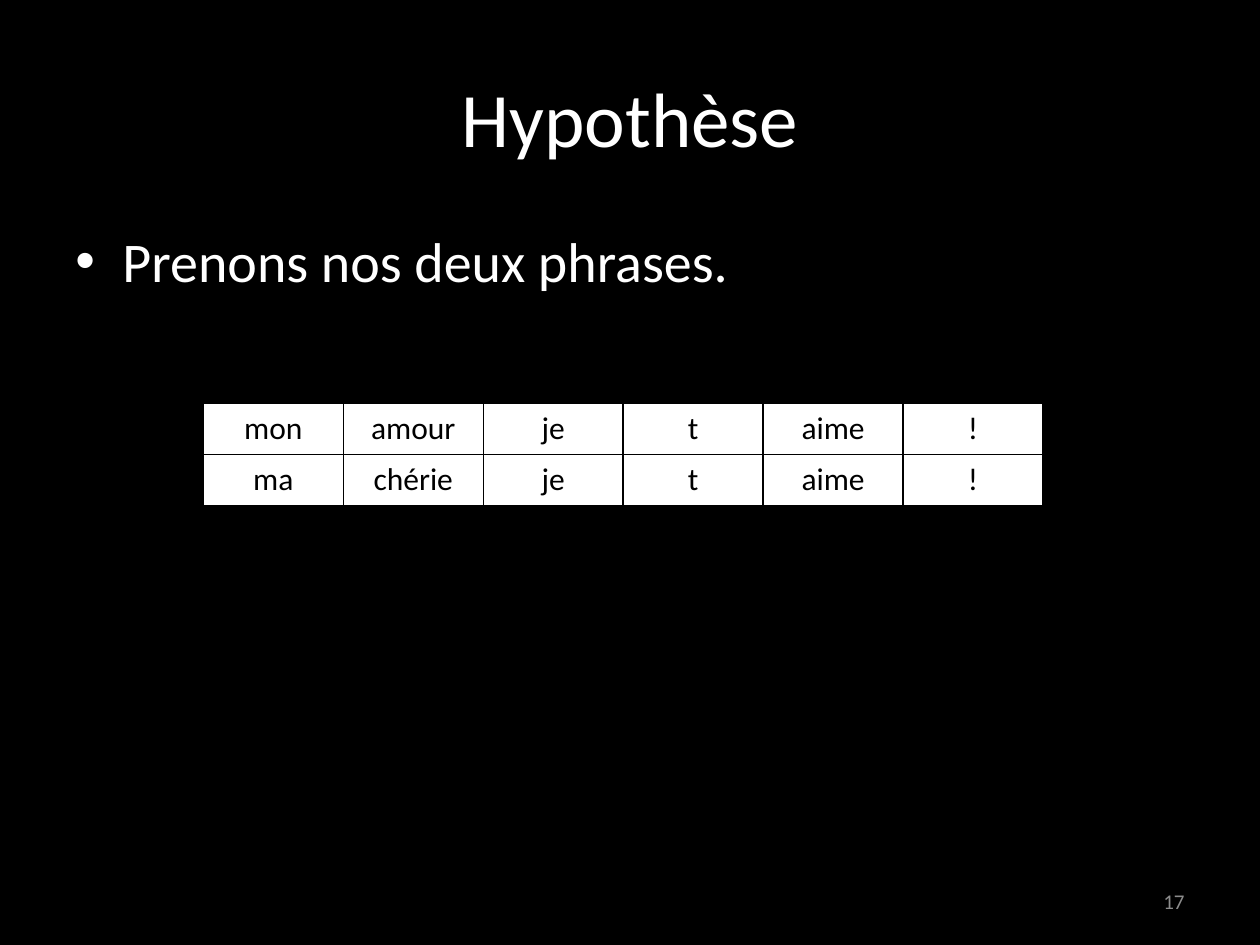
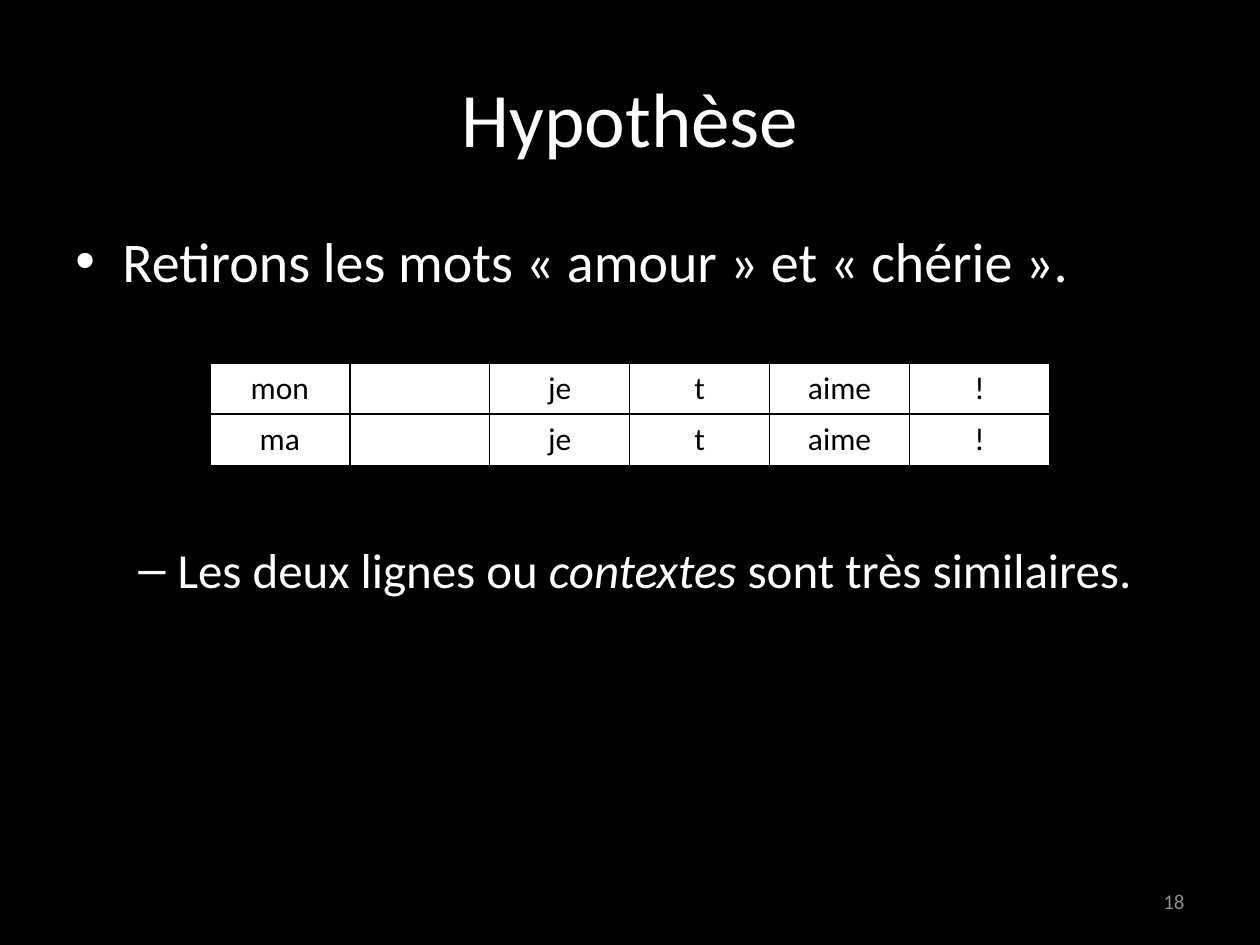
from dataclasses import dataclass

from lxml import etree
from pptx import Presentation
from pptx import util as u
from pptx.dml.color import RGBColor
from pptx.enum import text
from pptx.oxml import ns


@dataclass(frozen=True)
class Theme:
    """Colours, font and type sizes shared by the slides."""
    font: str = "Calibri"
    background: str = "000000"
    light: str = "FFFFFF"
    dark: str = "000000"
    muted: str = "8C8C8C"
    title_size: int = 44
    body_sizes: tuple = (32, 28)
    table_size: int = 18
    number_size: int = 12


@dataclass(frozen=True)
class Box:
    """A region of the slide in centimetres."""
    left: float
    top: float
    width: float
    height: float

    def lengths(self):
        """Return left, top, width and height as lengths."""
        return [u.Cm(value) for value in (self.left, self.top, self.width, self.height)]


THEME = Theme()
TITLE_BOX = Box(1.27, 0.76, 22.86, 3.18)
BODY_BOX = Box(1.27, 4.45, 22.86, 12.57)
NUMBER_BOX = Box(18.2, 17.65, 5.93, 1.02)
BULLETS = (("•", 0.95, 0.95), ("–", 2.06, 0.79))


def add_run(paragraph, words, size, color, italic=False):
    """Add one formatted run to a paragraph."""
    run = paragraph.add_run()
    run.text = words
    run.font.name = THEME.font
    run.font.size = u.Pt(size)
    run.font.color.rgb = RGBColor.from_string(color)
    run.font.italic = italic


def add_title(slide, box, words):
    """Move the title placeholder to its box and fill it."""
    title = slide.shapes.title
    title.left, title.top, title.width, title.height = box.lengths()
    title.text_frame.vertical_anchor = text.MSO_ANCHOR.MIDDLE
    paragraph = title.text_frame.paragraphs[0]
    paragraph.alignment = text.PP_ALIGN.CENTER
    add_run(paragraph, words, THEME.title_size, THEME.light)


def add_text_box(slide, box):
    """Add a wrapping text box and return its text frame."""
    frame = slide.shapes.add_textbox(*box.lengths()).text_frame
    frame.word_wrap = True
    return frame


def set_bullet(paragraph, level):
    """Give a paragraph the bullet and hanging indent of its level."""
    character, margin, hanging = BULLETS[level]
    paragraph.level = level
    properties = paragraph._p.get_or_add_pPr()
    properties.set("marL", str(u.Cm(margin)))
    properties.set("indent", str(-u.Cm(hanging)))
    etree.SubElement(properties, ns.qn("a:buFont"), typeface="Arial")
    etree.SubElement(properties, ns.qn("a:buChar"), char=character)


def add_body(slide, box, items):
    """Add bulleted items, each a level, a space before and its runs."""
    frame = add_text_box(slide, box)
    for index, (level, space_before, runs) in enumerate(items):
        paragraph = frame.add_paragraph() if index else frame.paragraphs[0]
        paragraph.space_before = u.Pt(space_before)
        set_bullet(paragraph, level)
        for words, italic in runs:
            add_run(paragraph, words, THEME.body_sizes[level], THEME.light, italic)


def format_cell(cell, words):
    """Fill, border and write one table cell."""
    properties = cell._tc.get_or_add_tcPr()
    for side in ("lnL", "lnR", "lnT", "lnB"):
        line = etree.SubElement(properties, ns.qn(f"a:{side}"), w=str(u.Pt(1)))
        fill = etree.SubElement(line, ns.qn("a:solidFill"))
        etree.SubElement(fill, ns.qn("a:srgbClr"), val=THEME.dark)
    cell.fill.solid()
    cell.fill.fore_color.rgb = RGBColor.from_string(THEME.light)
    cell.vertical_anchor = text.MSO_ANCHOR.MIDDLE
    paragraph = cell.text_frame.paragraphs[0]
    paragraph.alignment = text.PP_ALIGN.CENTER
    if words:
        add_run(paragraph, words, THEME.table_size, THEME.dark)


def add_word_table(slide, box, sentences):
    """Add a table with one sentence a row and one word a cell."""
    rows, columns = len(sentences), len(sentences[0])
    table = slide.shapes.add_table(rows, columns, *box.lengths()).table
    table.first_row = table.horz_banding = False
    for row, sentence in enumerate(sentences):
        for column, word in enumerate(sentence):
            format_cell(table.cell(row, column), word)


def add_number(slide, box, number):
    """Add the slide number at the lower right."""
    frame = add_text_box(slide, box)
    frame.vertical_anchor = text.MSO_ANCHOR.MIDDLE
    paragraph = frame.paragraphs[0]
    paragraph.alignment = text.PP_ALIGN.RIGHT
    add_run(paragraph, str(number), THEME.number_size, THEME.muted)


def add_hypothesis_slide(presentation, number, items, table_box, nouns):
    """Add a slide comparing the two sentences with the given nouns."""
    slide = presentation.slides.add_slide(presentation.slide_layouts.get_by_name("Title Only"))
    sentences = [(determiner, noun, "je", "t", "aime", "!")
                 for determiner, noun in zip(("mon", "ma"), nouns)]
    add_title(slide, TITLE_BOX, "Hypothèse")
    add_body(slide, BODY_BOX, items)
    add_number(slide, NUMBER_BOX, number)
    add_word_table(slide, table_box, sentences)


def main():
    """Build and save the presentation."""
    presentation = Presentation()
    presentation.slide_width, presentation.slide_height = u.Cm(25.4), u.Cm(19.05)
    background = presentation.slide_master.background.fill
    background.solid()
    background.fore_color.rgb = RGBColor.from_string(THEME.background)
    add_hypothesis_slide(
        presentation, 17,
        [(0, 0, [("Prenons nos deux phrases.", False)])],
        Box(4.1, 8.13, 16.93, 2.06), ("amour", "chérie"))
    add_hypothesis_slide(
        presentation, 18,
        [(0, 0, [("Retirons les mots « amour » et « chérie ».", False)]),
         (1, 140, [("Les deux lignes ou ", False), ("contextes", True),
                   (" sont très similaires.", False)])],
        Box(4.23, 7.32, 16.93, 2.06), ("", ""))
    presentation.save("out.pptx")


if __name__ == "__main__":
    main()
